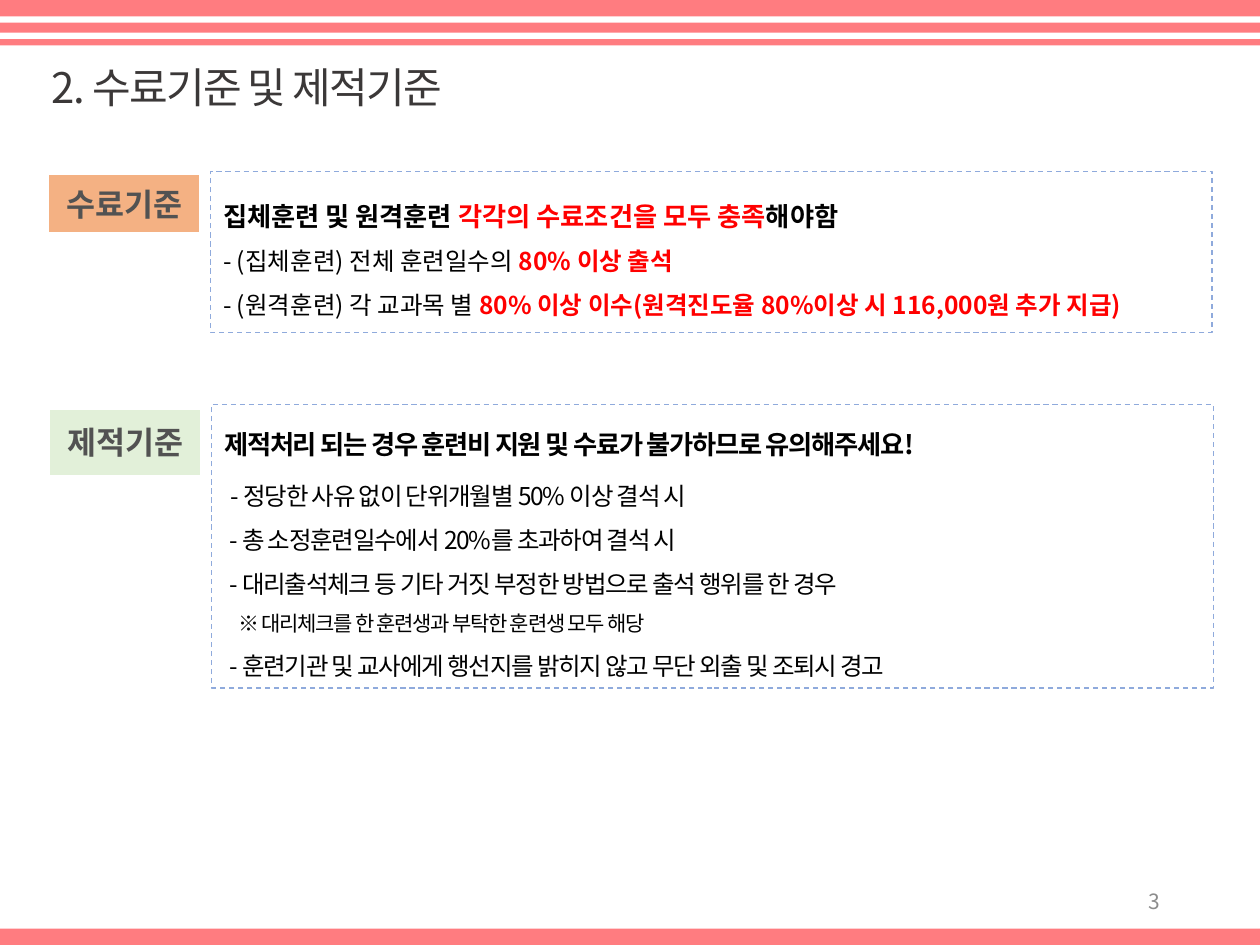
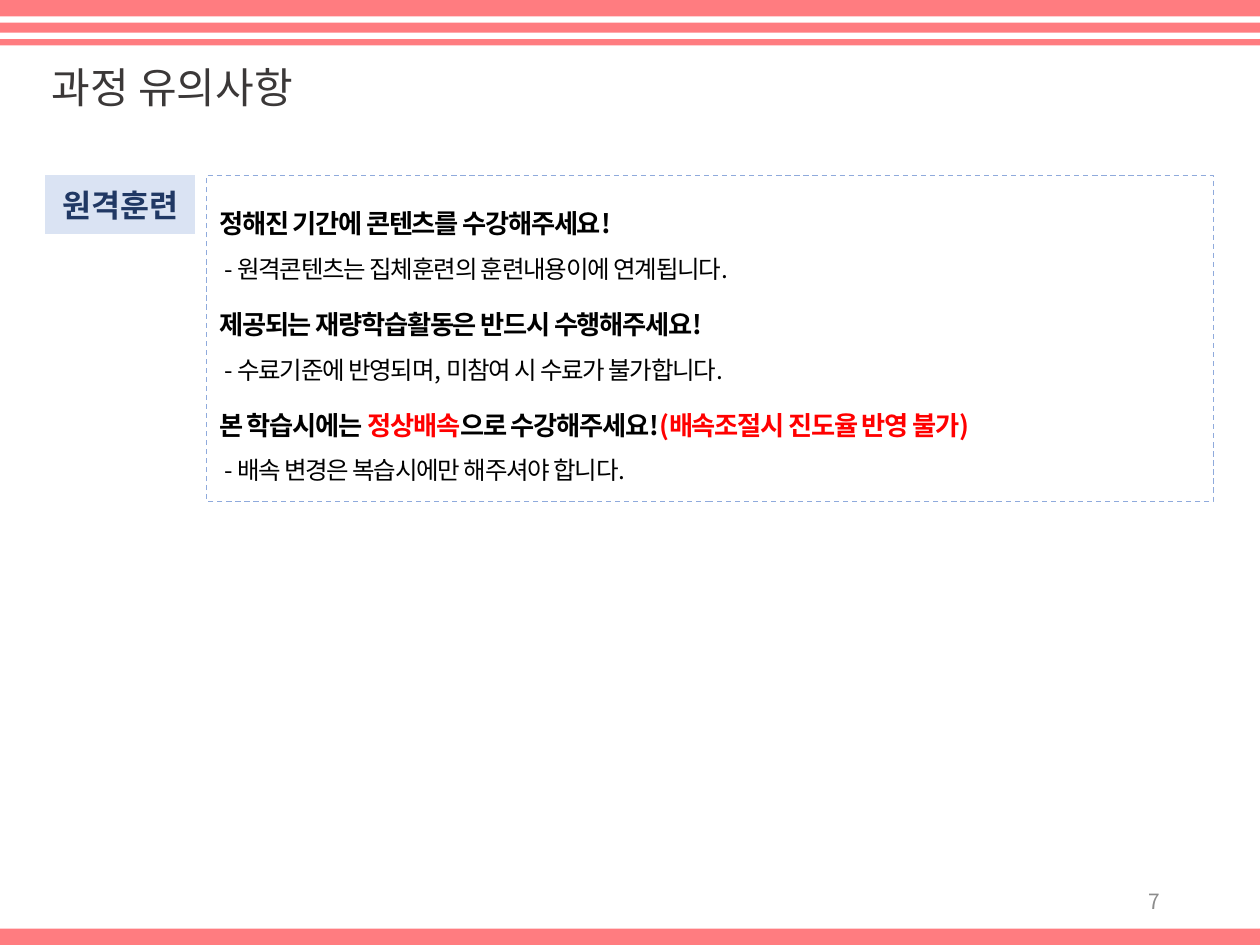
import pptx
import pptx.util
import pptx.dml.color
import pptx.enum.dml
import pptx.enum.shapes
import pptx.enum.text
import pptx.oxml
import pptx.oxml.ns
import lxml.etree

FONT = "Noto Sans CJK KR"
BAND, TITLE, NUMBER = "FF7C80", "3B3838", "8C8C8C"
BLACK, RED, WHITE, OUTLINE = "000000", "FF0000", "FFFFFF", "8FAADC"
COLUMNS, ROWS = 100, 75
LINE_PITCH = 1.8
HEADING, ITEM, NOTE = 15, 14, 12
ALIGN = pptx.enum.text.PP_ALIGN
ANCHOR = pptx.enum.text.MSO_ANCHOR


def color(value):
    return pptx.dml.color.RGBColor.from_string(value)


def add_text(para, text, size=ITEM, fill=BLACK, bold=False, spacing=0):
    span = para.add_run()
    span.text = text
    span.font.name = FONT
    span.font.size = pptx.util.Pt(size)
    span.font.bold = bold
    span.font.color.rgb = color(fill)
    properties = span.font._element
    east_asian = lxml.etree.SubElement(properties, pptx.oxml.ns.qn("a:ea"))
    east_asian.set("typeface", FONT)
    if spacing:
        properties.set("spc", str(round(spacing * 100)))


def heading(*spans, before=0):
    return dict(spans=spans, size=HEADING, bold=True, before=before)


def item(*spans, indent=0.4, before=0):
    return dict(spans=spans, size=ITEM, indent=indent, before=before)


class Page:
    def __init__(self, deck):
        self.deck = deck
        self.column = deck.slide_width / COLUMNS
        self.row = deck.slide_height / ROWS

    def start(self, layout, title, number, spacing=0):
        self.slide = self.deck.slides.add_slide(self.deck.slide_layouts[layout])
        self.bodies = list(self.slide.placeholders)[1:]
        for top, height in ((0, 1.3), (1.8, 0.8), (3.1, 0.5), (73.7, 1.3)):
            self.block(0, top, COLUMNS, height, BAND)
        self.title(title, spacing)
        self.number(number)

    def place(self, left, top, width, height):
        return (round(left * self.column), round(top * self.row),
                round(width * self.column), round(height * self.row))

    def move(self, shape, *area):
        shape.left, shape.top, shape.width, shape.height = self.place(*area)

    def frame(self, shape, anchor, right=0.1):
        frame = shape.text_frame
        frame.word_wrap = True
        frame.auto_size = pptx.enum.text.MSO_AUTO_SIZE.NONE
        frame.vertical_anchor = anchor
        frame.margin_left = pptx.util.Inches(0.1)
        frame.margin_right = pptx.util.Inches(right)
        frame.margin_top = frame.margin_bottom = pptx.util.Inches(0.05)
        return frame

    def title(self, text, spacing):
        box = self.slide.shapes.title
        self.move(box, 3.1, 4.4, 90.3, 5)
        para = self.frame(box, ANCHOR.MIDDLE).paragraphs[0]
        para.alignment = ALIGN.LEFT
        add_text(para, text, size=24, fill=TITLE, spacing=spacing)

    def number(self, text):
        box = self.slide.shapes.add_textbox(*self.place(70.6, 69.5, 22.5, 4))
        para = self.frame(box, ANCHOR.MIDDLE).paragraphs[0]
        para.alignment = ALIGN.RIGHT
        add_text(para, text, size=12, fill=NUMBER)

    def block(self, left, top, width, height, fill,
              kind=pptx.enum.shapes.MSO_SHAPE.RECTANGLE):
        shape = self.slide.shapes.add_shape(kind, *self.place(left, top, width, height))
        shape.shadow.inherit = False
        shape.fill.solid()
        shape.fill.fore_color.rgb = color(fill)
        shape.line.fill.background()
        return shape

    def label(self, text, left, top, height, fill, ink):
        shape = self.block(left, top, 11.9, height, fill,
                           pptx.enum.shapes.MSO_SHAPE.FLOWCHART_PROCESS)
        frame = self.frame(shape, ANCHOR.MIDDLE)
        frame.paragraphs[0].alignment = ALIGN.CENTER
        add_text(frame.paragraphs[0], text, size=18, fill=ink, bold=True)

    def panel(self, left, top, width, height, lines, spacing=0):
        box = self.bodies.pop(0)
        self.move(box, left, top, width, height)
        box.fill.solid()
        box.fill.fore_color.rgb = color(WHITE)
        tint = box._element.spPr.find(".//" + pptx.oxml.ns.qn("a:srgbClr"))
        lxml.etree.SubElement(tint, pptx.oxml.ns.qn("a:alpha")).set("val", "59000")
        box.line.color.rgb = color(OUTLINE)
        box.line.width = pptx.util.Pt(0.75)
        box.line.dash_style = pptx.enum.dml.MSO_LINE.DASH
        frame = self.frame(box, ANCHOR.MIDDLE, right=0)
        for index, line in enumerate(lines):
            para = frame.add_paragraph() if index else frame.paragraphs[0]
            self.line(para, spacing=spacing, **line)

    def line(self, para, spans, size, bold=False, indent=0, before=0, spacing=0):
        para.alignment = ALIGN.LEFT
        para.line_spacing = pptx.util.Pt(size * LINE_PITCH)
        para.space_before = pptx.util.Pt(before)
        properties = para._p.get_or_add_pPr()
        properties.set("marL", str(round(indent * self.column)))
        properties.set("indent", "0")
        lxml.etree.SubElement(properties, pptx.oxml.ns.qn("a:buNone"))
        for span in spans:
            text, accent = (span, False) if isinstance(span, str) else (span[0], True)
            add_text(para, text, size=size, fill=RED if accent else BLACK,
                     bold=bold or accent, spacing=spacing)


deck = pptx.Presentation()
deck.slide_width = pptx.util.Inches(10)
deck.slide_height = pptx.util.Inches(7.5)
page = Page(deck)

page.start(3, "2. 수료기준 및 제적기준", "3", spacing=-1)
for spare in page.bodies[2:]:
    spare._element.getparent().remove(spare._element)
page.label("수료기준", 3.9, 13.9, 4.5, "F4B183", "525252")
page.panel(16.7, 13.6, 79.5, 12.8, [
    heading("집체훈련 및 원격훈련 ", ["각각의 수료조건을 모두 충족"], "해야함"),
    item("- (집체훈련) 전체 훈련일수의 ", ["80% 이상 출석"], indent=0),
    item("- (원격훈련) 각 교과목 별 ",
         ["80% 이상 이수(원격진도율 80%이상 시 116,000원 추가 지급)"], indent=0),
])
page.label("제적기준", 4, 32.5, 5.2, "E2F0D9", "525252")
page.panel(16.8, 32.1, 79.5, 22.5, [
    heading("제적처리 되는 경우 훈련비 지원 및 수료가 불가하므로 유의해주세요!"),
    item("- 정당한 사유 없이 단위개월별 50% 이상 결석 시", indent=0.5, before=3.6),
    item("- 총 소정훈련일수에서 20%를 초과하여 결석 시"),
    item("- 대리출석체크 등 기타 거짓 부정한 방법으로 출석 행위를 한 경우"),
    dict(spans=["※ 대리체크를 한 훈련생과 부탁한 훈련생 모두 해당"], size=NOTE, indent=1.1),
    item("- 훈련기관 및 교사에게 행선지를 밝히지 않고 무단 외출 및 조퇴시 경고"),
], spacing=-0.7)

page.start(1, "과정 유의사항", "7")
page.label("원격훈련", 3.6, 13.9, 4.7, "DAE3F3", "203864")
page.panel(16.4, 13.9, 79.9, 25.9, [
    heading("정해진 기간에 콘텐츠를 수강해주세요!"),
    item("- 원격콘텐츠는 집체훈련의 훈련내용이에 연계됩니다."),
    heading("제공되는 재량학습활동은 반드시 수행해주세요!", before=5.4),
    item("- 수료기준에 반영되며, 미참여 시 수료가 불가합니다."),
    heading("본 학습시에는 ", ["정상배속"], "으로 수강해주세요!",
            ["(배속조절시 진도율 반영 불가)"], before=5.4),
    item("- 배속 변경은 복습시에만 해주셔야 합니다."),
], spacing=-0.7)

deck.save("out.pptx")
